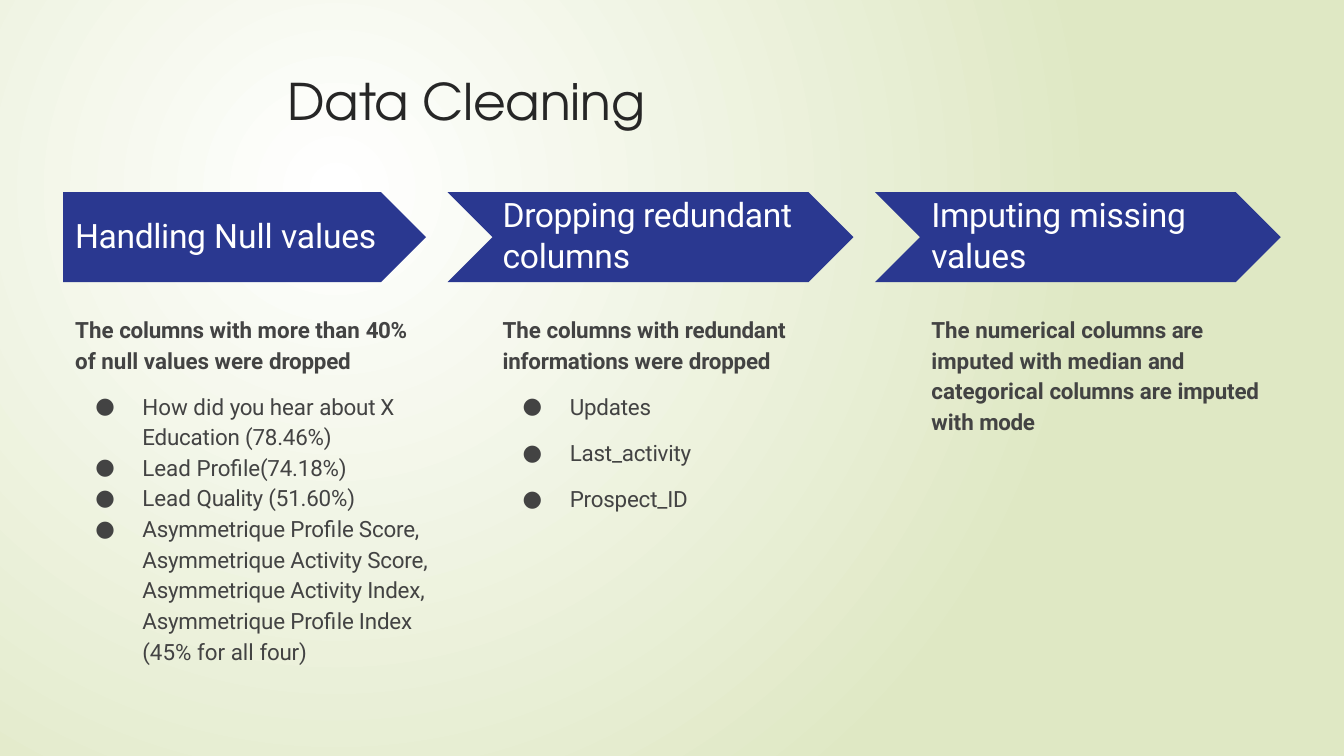
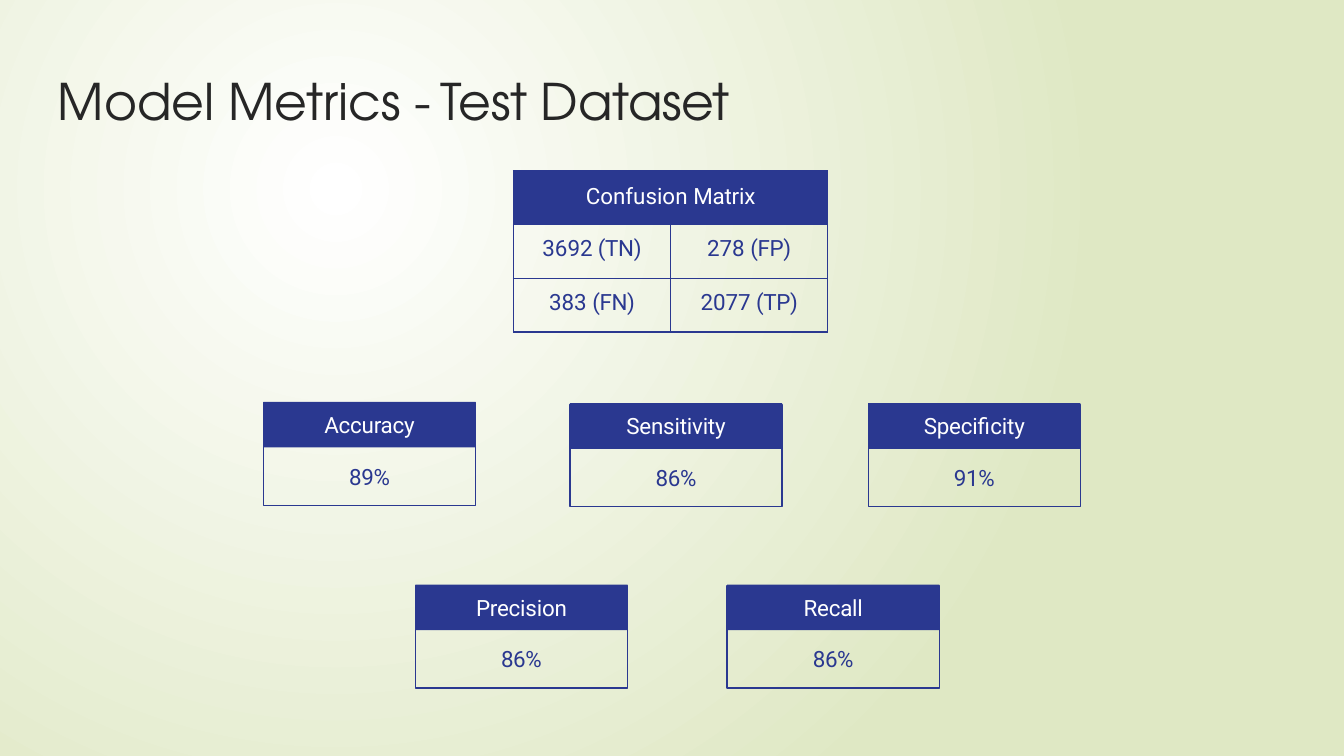
"""Build two slides: data cleaning steps and model metrics."""
from lxml import etree
from pptx import Presentation
from pptx.dml.color import RGBColor
from pptx.enum.shapes import MSO_SHAPE as Shape
from pptx.enum.text import MSO_ANCHOR as Anchor, MSO_AUTO_SIZE as Auto, PP_ALIGN as Align
from pptx.oxml.ns import qn
from pptx.util import Inches, Pt

NAVY = RGBColor(0x2A, 0x38, 0x90)
WHITE = RGBColor(0xFF, 0xFF, 0xFF)
GREEN = RGBColor(0xDF, 0xE8, 0xC4)
INK = RGBColor(0x26, 0x26, 0x26)
GREY = RGBColor(0x43, 0x43, 0x43)
BODY = "Roboto"
HEAD = "TeX Gyre Adventor"

STEPS = [
    dict(
        arrow=(Shape.PENTAGON, 0.47, 2.7), left=0.55, top=1.58, wide=2.3, high=0.33, gap=1,
        head=[("Handling ", -0.2), ("Null ", 0), ("values", -0.1)],
        note_size=(2.51, 0.49),
        note=[("The ", 0), ("columns ", -0.1), ("with more than ", 0), ("40% ", -0.2),
              ("of null values were ", 0), ("dropped", -0.1)],
    ),
    dict(
        arrow=(Shape.CHEVRON, 3.33, 3.02), left=3.73, top=1.43, wide=2.22, high=0.63, gap=0.8,
        head=[("Dropping redundant ", -0.2), ("columns", -0.1)],
        note_size=(2.16, 0.49),
        note=[("The ", 0), ("columns ", -0.1), ("with", 0),
              (" redundant informations ", -0.1), ("were ", 0), ("dropped", -0.1)],
    ),
    dict(
        arrow=(Shape.CHEVRON, 6.51, 3.02), left=6.92, top=1.43, wide=1.95, high=0.63, gap=0.8,
        head=[("Imputing ", -0.2), ("missing values", -0.1)],
        note_size=(2.49, 0.94),
        note=[("The numerical ", 0), ("columns ", -0.1), ("are ", -0.2),
              ("imputed with median ", 0), ("and ", -0.2), ("categorical ", 0),
              ("columns ", -0.1), ("are ", 0), ("imputed ", -0.1), ("with ", 0),
              ("mode", -0.2)],
    ),
]
NULLS = [
    [("How did ", 0), ("you ", -0.2), ("hear ", 0), ("about", -0.1), (" X ", -0.5),
     ("Education (78.46%)", -0.1)],
    [("Lead ", 0), ("Profile(74.18%)", -0.1)],
    [("Lead ", 0), ("Quality ", -0.2), ("(51.60%)", -0.1)],
    [("Asymmetrique Profile Score, Asymmetrique Activity Score, "
      "Asymmetrique Activity Index, Asymmetrique Profile Index ", -0.1),
     ("(45% for all ", 0), ("four)", -0.1)],
]
EXTRA = [[(name, -0.1)] for name in ("Updates", "Last_activity", "Prospect_ID")]
CARDS = [
    ("Accuracy", "89%", 1.96, 2.99),
    ("Sensitivity", "86%", 4.24, 3),
    ("Specificity", "91%", 6.46, 3),
    ("Precision", "86%", 3.09, 4.35),
    ("Recall", "86%", 5.41, 4.35),
]
MATRIX = [
    (6.7, [[("Confusion ", 0), ("Matrix", -0.1)]]),
    (5.9, [[("3692", 0), (" (TN)", -0.2)], [("278 ", 0), ("(FP)", -0.2)]]),
    (6.2, [[("383 ", 0), ("(FN)", -0.2)], [("2077", 0), (" (TP)", -0.2)]]),
]


def place(shape, left, top, wide, high):
    """Set the position and size of a shape in inches."""
    shape.left, shape.top = Inches(left), Inches(top)
    shape.width, shape.height = Inches(wide), Inches(high)


def add_runs(para, runs, size, color, bold=False, font=BODY):
    """Add (text, letter spacing) runs to a paragraph."""
    for text, space in runs:
        run = para.add_run()
        run.text = text
        run.font.name, run.font.size = font, Pt(size)
        run.font.bold, run.font.color.rgb = bold, color
        if space:
            run.font._element.set("spc", str(round(space * 100)))


def set_frame(frame, gap):
    """Wrap a text frame and leave only a small top margin."""
    frame.word_wrap, frame.auto_size = True, Auto.NONE
    frame.vertical_anchor = Anchor.TOP
    frame.margin_left = frame.margin_right = frame.margin_bottom = 0
    frame.margin_top = Pt(gap)


def indent(para, left, first=0):
    """Indent a paragraph and its first line, in inches."""
    props = para._p.get_or_add_pPr()
    props.set("marL", str(Inches(left)))
    props.set("indent", str(Inches(first)))
    return props


def write(frame, runs, size, color, gap=1, line=1.0, align=Align.LEFT, **style):
    """Fill a text frame with one paragraph."""
    set_frame(frame, gap)
    para = frame.paragraphs[0]
    para.alignment, para.line_spacing = align, line
    para.space_before = Pt(gap)
    if align == Align.LEFT:
        indent(para, 0.01)
    add_runs(para, runs, size, color, **style)


def add_text(slide, box, runs, size, color, **style):
    """Add a text box with one paragraph."""
    shape = slide.shapes.add_textbox(*map(Inches, box))
    write(shape.text_frame, runs, size, color, **style)


def add_list(slide, box, items, gap, line):
    """Add a bulleted list."""
    frame = slide.shapes.add_textbox(*map(Inches, box)).text_frame
    set_frame(frame, 1)
    for i, runs in enumerate(items):
        para = frame.add_paragraph() if i else frame.paragraphs[0]
        para.space_before, para.line_spacing = Pt(gap if i else 1), line
        props = indent(para, 0.36, -0.35)
        etree.SubElement(props, qn("a:buFont"), typeface=BODY)
        etree.SubElement(props, qn("a:buChar"), char="●")
        add_runs(para, runs, 12, GREY)


def add_solid(slide, kind, box):
    """Add a navy shape without a line."""
    shape = slide.shapes.add_shape(kind, *map(Inches, box))
    shape.shadow.inherit = False
    shape.fill.solid()
    shape.fill.fore_color.rgb = NAVY
    shape.line.fill.background()
    return shape


def add_step(slide, step):
    """Add an arrow with its heading and the note below."""
    kind, left, wide = step["arrow"]
    add_solid(slide, kind, (left, 1.43, wide, 0.67))
    left = step["left"]
    add_text(slide, (left, step["top"], step["wide"], step["high"]), step["head"],
             18, WHITE, gap=step["gap"], line=1.01)
    add_text(slide, (left, 2.31, *step["note_size"]), step["note"], 12, GREY,
             line=1.14, bold=True)


def add_card(slide, name, value, left, top):
    """Add a framed metric with its name above its value."""
    box = slide.shapes.add_shape(
        Shape.RECTANGLE, *map(Inches, (left, top + 0.01, 1.58, 0.76)))
    box.shadow.inherit = False
    box.fill.background()
    box.line.color.rgb, box.line.width = NAVY, Pt(0.75)
    band = add_solid(slide, Shape.RECTANGLE, (left, top, 1.58, 0.34))
    write(band.text_frame, [(name, -0.1)], 12, WHITE, gap=4.9, align=Align.CENTER)
    add_text(slide, (left, top + 0.44, 1.58, 0.23), [(value, -0.2)], 12, NAVY,
             align=Align.CENTER)


def add_edges(cell):
    """Draw thin navy borders around a table cell."""
    props = cell._tc.get_or_add_tcPr()
    for side in ("lnL", "lnR", "lnT", "lnB"):
        edge = etree.SubElement(props, qn(f"a:{side}"), w=str(Pt(0.75)))
        fill = etree.SubElement(edge, qn("a:solidFill"))
        etree.SubElement(fill, qn("a:srgbClr"), val=str(NAVY))


def add_matrix(slide):
    """Add the confusion matrix table."""
    frame = slide.shapes.add_table(3, 2, *map(Inches, (3.82, 1.27, 2.34, 1.2)))
    table = frame.table
    table.first_row = table.horz_banding = False
    for cell in table.iter_cells():
        add_edges(cell)
        cell.fill.background()
    top = table.cell(0, 0)
    top.merge(table.cell(0, 1))
    top.fill.solid()
    top.fill.fore_color.rgb = NAVY
    for row, (gap, cells) in enumerate(MATRIX):
        for col, runs in enumerate(cells):
            cell = table.cell(row, col)
            cell.margin_left = cell.margin_right = cell.margin_bottom = 0
            cell.margin_top, cell.vertical_anchor = Pt(gap), Anchor.TOP
            para = cell.text_frame.paragraphs[0]
            para.alignment, para.space_before = Align.CENTER, Pt(gap)
            add_runs(para, runs, 12, NAVY if row else WHITE)


def set_back(master):
    """Give the master a round white to green gradient."""
    fill = master.background.fill
    fill.gradient()
    for stop, color in zip(fill.gradient_stops, (WHITE, GREEN)):
        stop.color.rgb = color
    grad = master.element.find(".//" + qn("a:gradFill"))
    line = grad.find(qn("a:lin"))
    ring = etree.Element(qn("a:path"), path="circle")
    etree.SubElement(ring, qn("a:fillToRect"), l="50000", t="50000", r="100000", b="100000")
    grad.replace(line, ring)


def add_slide(deck, box, runs):
    """Add a slide with a styled title."""
    slide = deck.slides.add_slide(deck.slide_layouts[5])
    title = slide.shapes.title
    place(title, *box)
    write(title.text_frame, runs, 27, INK, font=HEAD)
    return slide


def main():
    """Build and save the deck."""
    deck = Presentation()
    deck.slide_width = Inches(10)
    deck.slide_height = deck.slide_width * 9 // 16
    set_back(deck.slide_master)

    clean = add_slide(deck, (2.13, 0.51, 7.31, 1.05), [("Data Cleaning", -0.1)])
    for step in STEPS:
        add_step(clean, step)
    add_list(clean, (0.7, 2.88, 2.54, 2.09), NULLS, gap=0, line=1.14)
    add_list(clean, (3.88, 2.91, 1.3, 0.92), EXTRA, gap=10.3, line=1.0)

    model = add_slide(deck, (0.42, 0.51, 5.33, 0.53), [
        ("Model Metrics ", 0), ("- ", -2.65), ("Test ", -0.3), ("Dataset", -0.1)])
    for card in CARDS:
        add_card(model, *card)
    add_matrix(model)
    deck.save("out.pptx")


if __name__ == "__main__":
    main()
